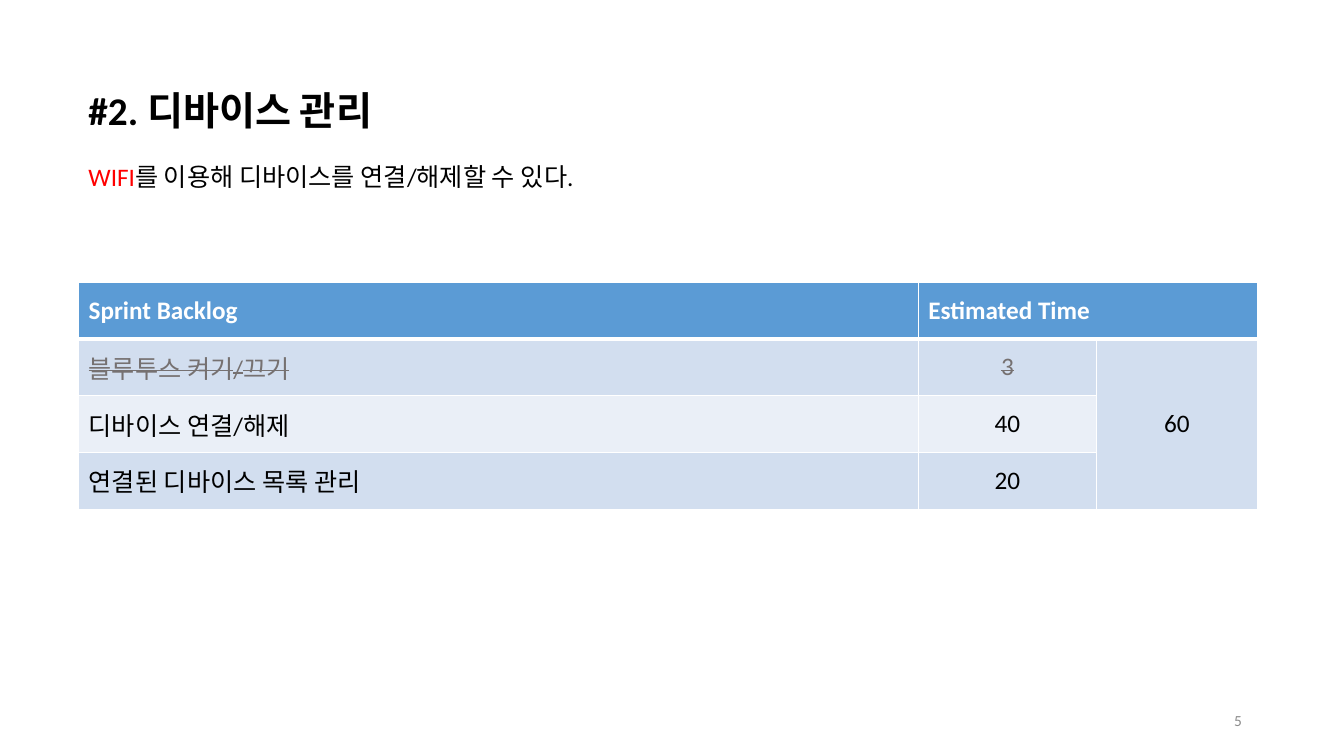
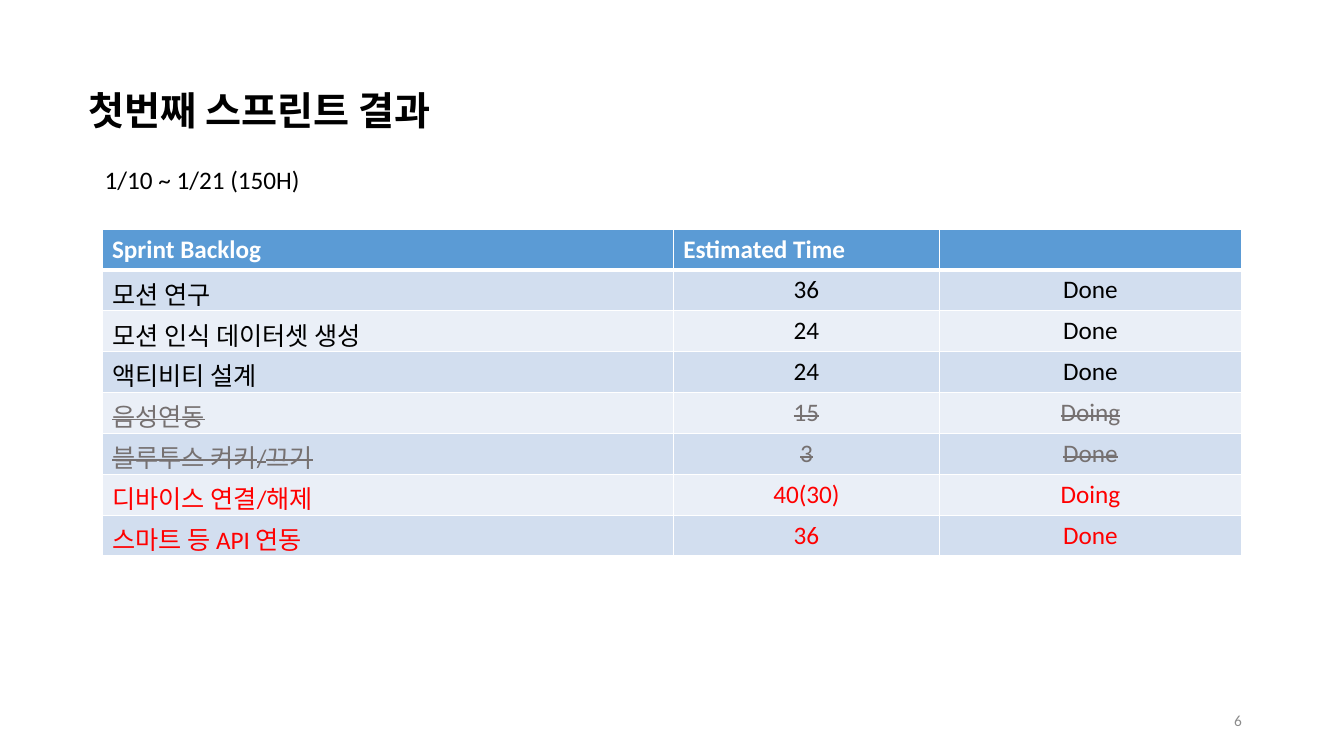
import pptx
import pptx.dml.color
import pptx.enum.text
import pptx.oxml.ns
import pptx.util
import lxml.etree

Cm = pptx.util.Cm
Pt = pptx.util.Pt
ALIGN = pptx.enum.text.PP_ALIGN
ANCHOR = pptx.enum.text.MSO_ANCHOR
FONT = "Calibri"
COLORS = {
    "white": "FFFFFF", "black": "000000", "red": "FF0000",
    "dropped": "767171", "number": "8C8C8C",
    "header": "5B9BD5", "odd": "D2DEEF", "even": "EAEFF7",
}

SLIDES = [
    {
        "title": "#2. 디바이스 관리",
        "subtitle": [("WIFI", "red"), ("를 이용해 디바이스를 연결/해제할 수 있다.", "black")],
        "subtitle_at": (1.98, 3.94, 18.19, 1.02),
        "number": "5",
        "table_at": (1.98, 7.11),
        "columns": (21.16, 4.5, 4.04),
        "row_height": 1.43,
        "anchor": ANCHOR.MIDDLE,
        "header": ("Sprint Backlog", "Estimated Time", ""),
        "rows": [
            ("dropped", "블루투스 켜기/끄기", "3", ""),
            ("black", "디바이스 연결/해제", "40", ""),
            ("black", "연결된 디바이스 목록 관리", "20", ""),
        ],
        "merges": [((0, 1), (0, 2)), ((1, 2), (3, 2))],
        "total": ((1, 2), "60"),
    },
    {
        "title": "첫번째 스프린트 결과",
        "subtitle": [("1/10 ~ 1/21 (150H)", "black")],
        "subtitle_at": (2.39, 4.01, 8.41, 1.02),
        "number": "6",
        "table_at": (2.57, 5.77),
        "columns": (14.4, 6.71, 7.6),
        "row_height": 1.03,
        "anchor": ANCHOR.TOP,
        "header": ("Sprint Backlog", "Estimated Time", ""),
        "rows": [
            ("black", "모션 연구", "36", "Done"),
            ("black", "모션 인식 데이터셋 생성", "24", "Done"),
            ("black", "액티비티 설계", "24", "Done"),
            ("dropped", "음성연동", "15", "Doing"),
            ("dropped", "블루투스 켜키/끄기", "3", "Done"),
            ("red", "디바이스 연결/해제", "40(30)", "Doing"),
            ("red", "스마트 등 API 연동", "36", "Done"),
        ],
        "merges": [],
        "total": None,
    },
]


def rgb(name):
    return pptx.dml.color.RGBColor.from_string(COLORS[name])


def write(para, text, color="black", size=18, bold=False, strike=False, align=ALIGN.LEFT):
    para.alignment = align
    span = para.add_run()
    span.text = text
    span.font.name = FONT
    span.font.size = Pt(size)
    span.font.bold = bold
    span.font.color.rgb = rgb(color)
    if strike:
        span._r.get_or_add_rPr().set("strike", "sngStrike")


def add_text(page, at, parts, anchor=ANCHOR.TOP, **style):
    box = page.shapes.add_textbox(*(Cm(length) for length in at))
    box.text_frame.word_wrap = True
    box.text_frame.vertical_anchor = anchor
    for text, color in parts:
        write(box.text_frame.paragraphs[0], text, color, **style)


def add_borders(cell, row):
    qn = pptx.oxml.ns.qn
    properties = cell._tc.get_or_add_tcPr()
    widths = {"L": 1, "R": 1, "T": 3 if row == 1 else 1, "B": 3 if row == 0 else 1}
    for side, width in widths.items():
        line = lxml.etree.SubElement(properties, qn("a:ln" + side), w=str(Pt(width)))
        fill = lxml.etree.SubElement(line, qn("a:solidFill"))
        lxml.etree.SubElement(fill, qn("a:srgbClr"), val=COLORS["white"])


def add_backlog(page, content):
    rows = [("white", *content["header"]), *content["rows"]]
    columns = content["columns"]
    left, top = content["table_at"]
    height = content["row_height"]
    table = page.shapes.add_table(
        len(rows), len(columns), Cm(left), Cm(top),
        Cm(sum(columns)), Cm(height * len(rows))).table
    for column, width in zip(table.columns, columns):
        column.width = Cm(width)
    for row, (color, *texts) in enumerate(rows):
        table.rows[row].height = Cm(height)
        band = "header" if row == 0 else ("even", "odd")[row % 2]
        for column, text in enumerate(texts):
            cell = table.cell(row, column)
            add_borders(cell, row)
            cell.fill.solid()
            cell.fill.fore_color.rgb = rgb(band)
            cell.vertical_anchor = content["anchor"]
            if text:
                write(cell.text_frame.paragraphs[0], text, color,
                      bold=row == 0, strike=color == "dropped",
                      align=ALIGN.CENTER if row and column else ALIGN.LEFT)
    for first, last in content["merges"]:
        table.cell(*first).merge(table.cell(*last))
    if content["total"]:
        place, text = content["total"]
        write(table.cell(*place).text_frame.paragraphs[0], text, align=ALIGN.CENTER)


deck = pptx.Presentation()
deck.slide_width = Cm(33.87)
deck.slide_height = Cm(19.05)
for content in SLIDES:
    page = deck.slides.add_slide(deck.slide_layouts[6])
    add_text(page, (1.98, 2.06, 13, 1.45), [(content["title"], "black")], size=28, bold=True)
    add_text(page, content["subtitle_at"], content["subtitle"])
    add_text(page, (23.93, 17.65, 7.62, 1.02), [(content["number"], "number")],
             anchor=ANCHOR.MIDDLE, size=11, align=ALIGN.RIGHT)
    add_backlog(page, content)
deck.save("out.pptx")
